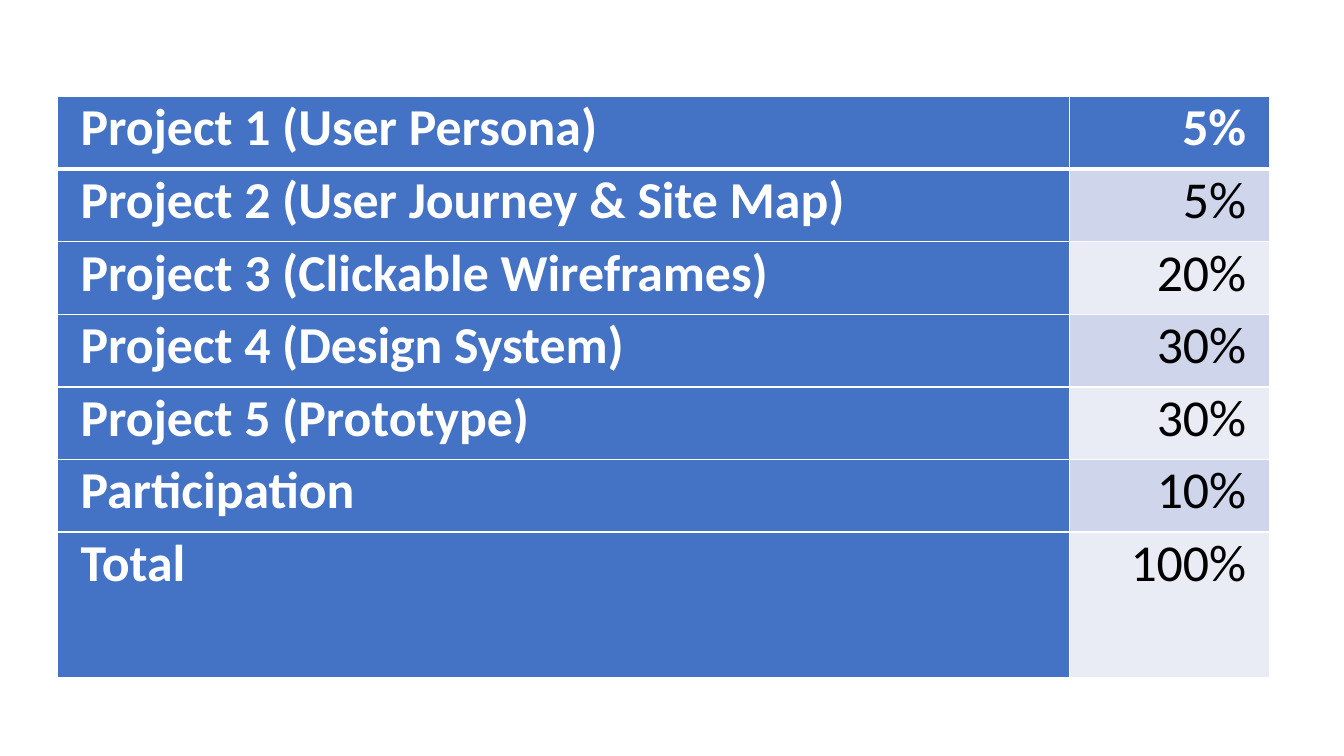
import lxml.etree
import pptx
import pptx.dml.color
import pptx.enum.text
import pptx.oxml.ns
import pptx.util

EMU_PER_PX = 9144  # 100 px to the inch

WEIGHTS = [
    ("Project 1 (User Persona)", "5%"),
    ("Project 2 (User Journey & Site Map)", "5%"),
    ("Project 3 (Clickable Wireframes)", "20%"),
    ("Project 4 (Design System)", "30%"),
    ("Project 5 (Prototype)", "30%"),
    ("Participation", "10%"),
    ("Total", "100%"),
]


def px(length):
    return pptx.util.Emu(length * EMU_PER_PX)


def color(hex_string):
    return pptx.dml.color.RGBColor.from_string(hex_string)


def write_text(text_frame, text, *, font, size, fill, bold=False, align="LEFT"):
    paragraph = text_frame.paragraphs[0]
    paragraph.alignment = pptx.enum.text.PP_ALIGN[align]
    run = paragraph.add_run()
    run.text = text
    run.font.name = font
    run.font.size = pptx.util.Pt(size)
    run.font.bold = bold
    run.font.color.rgb = color(fill)


def add_borders(cell, hex_string, widths):
    """Draw the cell's borders; widths maps L, R, T and B to points."""
    properties = cell._tc.get_or_add_tcPr()
    qualified = pptx.oxml.ns.qn
    for side, width in widths.items():
        line = lxml.etree.SubElement(
            properties, qualified(f"a:ln{side}"), w=str(pptx.util.Pt(width)))
        solid = lxml.etree.SubElement(line, qualified("a:solidFill"))
        lxml.etree.SubElement(solid, qualified("a:srgbClr"), val=hex_string)


class SlideBuilder:
    FONT = "Calibri"
    TEXT_SIZE = 37
    ACCENT = "4472C4"
    BANDS = ("E9EBF5", "CFD5EA")
    LIGHT, DARK = "FFFFFF", "000000"
    CELL_INSET = 23

    def __init__(self, presentation):
        self.slide = presentation.slides.add_slide(presentation.slide_layouts[6])

    def add_weight_table(self, rows, left, top, column_widths, row_heights):
        shape = self.slide.shapes.add_table(
            len(rows), len(column_widths), px(left), px(top),
            px(sum(column_widths)), px(sum(row_heights)))
        table = shape.table
        table.first_col = True
        for column, width in zip(table.columns, column_widths):
            column.width = px(width)
        for row, height in zip(table.rows, row_heights):
            row.height = px(height)
        for row_index, row in enumerate(rows):
            for column_index, text in enumerate(row):
                self.format_cell(table.cell(row_index, column_index), text,
                                 row_index, column_index)

    def format_cell(self, cell, text, row_index, column_index):
        is_header = row_index == 0 or column_index == 0
        cell.margin_left = cell.margin_right = px(self.CELL_INSET)
        cell.margin_top = cell.margin_bottom = 0
        add_borders(cell, self.LIGHT, {
            "L": 1, "R": 1,
            "T": 3 if row_index == 1 else 1,
            "B": 3 if row_index == 0 else 1})
        cell.fill.solid()
        cell.fill.fore_color.rgb = color(
            self.ACCENT if is_header else self.BANDS[row_index % 2])
        write_text(cell.text_frame, text, font=self.FONT, size=self.TEXT_SIZE,
                   fill=self.LIGHT if is_header else self.DARK, bold=is_header,
                   align="RIGHT" if column_index else "LEFT")


def main():
    presentation = pptx.Presentation()
    presentation.slide_width = px(1333)
    presentation.slide_height = px(750)
    builder = SlideBuilder(presentation)
    row_height = 72
    builder.add_weight_table(
        WEIGHTS, left=57, top=96, column_widths=[1004, 198],
        row_heights=[row_height] * (len(WEIGHTS) - 1) + [2 * row_height])
    presentation.save("out.pptx")


if __name__ == "__main__":
    main()
